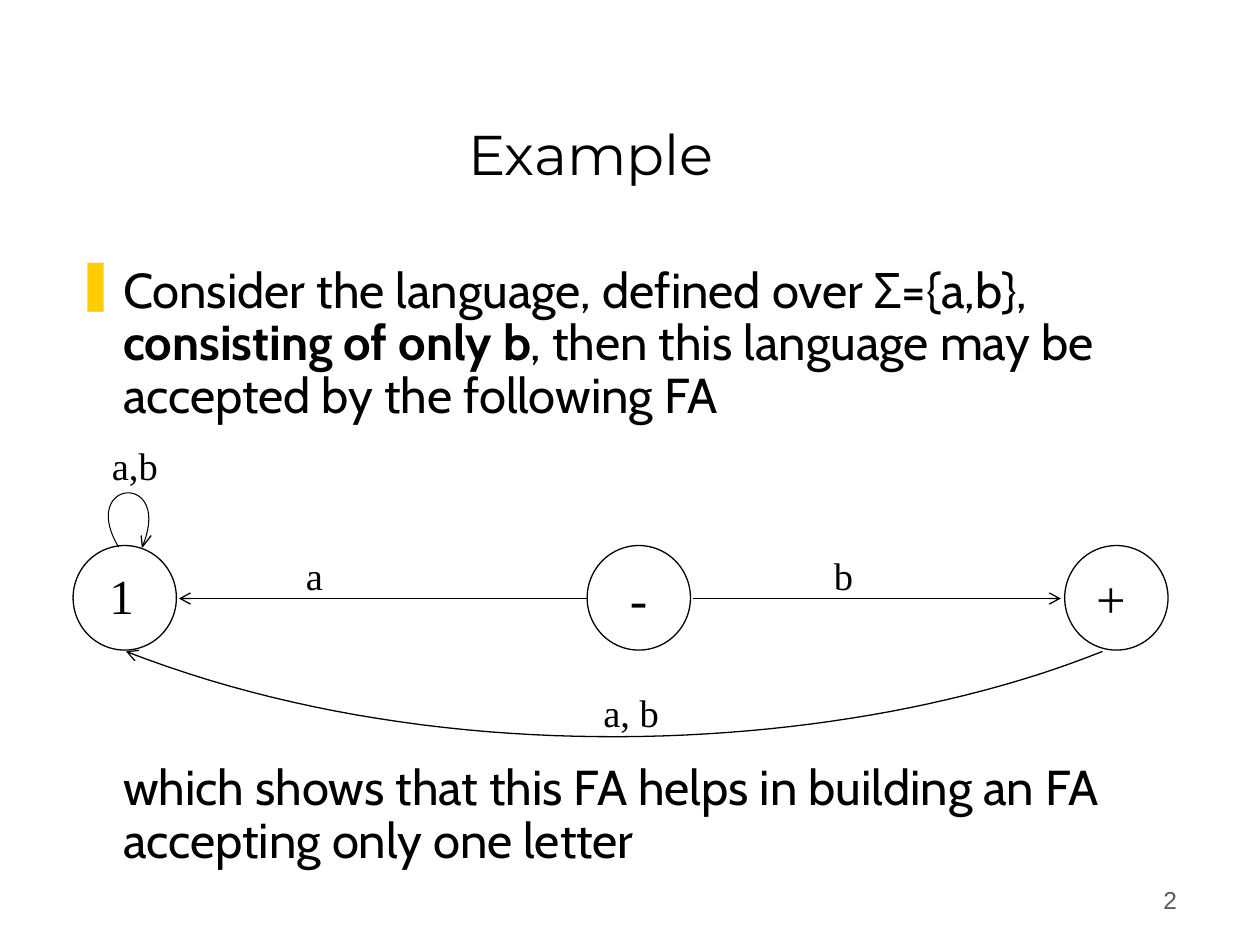
from dataclasses import dataclass

from lxml import etree
from pptx import Presentation
from pptx import util as u
from pptx.dml.color import RGBColor
from pptx.enum import shapes as sh, text as tx
from pptx.oxml import ns

BLACK = RGBColor(0x00, 0x00, 0x00)
WHITE = RGBColor(0xFF, 0xFF, 0xFF)
GREY = RGBColor(0x5E, 0x57, 0x4E)
GOLD = "FFCC00"
SERIF, SANS, HEAD = "Times New Roman", "Cabin", "Montserrat"
WIDE, HIGH = 0.82, 0.83
TOP = 4.33
AXIS = 4.75
Point = tuple[float, float]


@dataclass
class Label:
    text: str
    left: float
    top: float
    size: int = 22


@dataclass
class Curve:
    """A cubic Bezier curve: start, two control points, end."""
    ends: tuple[Point, Point, Point, Point]
    width: float = 0.75
    arrow: bool = False

    def trace(self, steps: int = 48) -> list[Point]:
        def mix(t: float, axis: int) -> float:
            a, b, c, d = (p[axis] for p in self.ends)
            s = 1 - t
            return s**3 * a + 3 * s * s * t * b + 3 * s * t * t * c + t**3 * d
        return [(mix(i / steps, 0), mix(i / steps, 1)) for i in range(steps + 1)]


STATES = [0.58, 4.66, 8.45]
EDGES = [(4.67, 1.42), (5.5, 8.42)]
LABELS = [
    Label("1", 0.77, 4.44, 28),
    Label("-", 4.9, 4.44, 30),
    Label("+", 8.6, 4.44, 30),
    Label("a,b", 0.79, 3.46),
    Label("a", 2.33, TOP),
    Label("b", 6.52, TOP),
    Label("a, b", 4.69, 5.42),
]
LOOP = Curve(((0.94, 4.34), (0.62, 3.8), (1.38, 3.74), (1.13, 4.34)), 0.6)
BARB = [(1.12, 4.25), (1.13, 4.34), (1.2, 4.25)]
RETURN = Curve(((8.75, 5.17), (6.76, 5.97), (3.56, 6.17), (1, 5.17)), arrow=True)


def apply(item, **values) -> None:
    for name, value in values.items():
        setattr(item, name, value)


def style(run, face: str, size: int, color: RGBColor = BLACK, bold: bool = False) -> None:
    apply(run.font, name=face, size=u.Pt(size), bold=bold)
    run.font.color.rgb = color


def ink(line, width: float = 0.75, arrow: bool = False) -> None:
    line.color.rgb = BLACK
    line.width = u.Pt(width)
    if arrow:
        tail = etree.SubElement(line._get_or_add_ln(), ns.qn("a:tailEnd"))
        tail.set("type", "arrow")


def add_box(slide, left: float, top: float, width: float, height: float):
    box = slide.shapes.add_textbox(*map(u.Inches, (left, top, width, height)))
    box.text_frame.word_wrap = True
    return box.text_frame


def add_label(slide, label: Label) -> None:
    frame = add_box(slide, label.left, label.top, 0.98, 0.67)
    run = frame.paragraphs[0].add_run()
    run.text = label.text
    style(run, SERIF, label.size)


def add_state(slide, left: float) -> None:
    oval = slide.shapes.add_shape(
        sh.MSO_SHAPE.OVAL, *map(u.Inches, (left, TOP, WIDE, HIGH)))
    oval.shadow.inherit = False
    oval.fill.solid()
    oval.fill.fore_color.rgb = WHITE
    ink(oval.line)


def add_edge(slide, start: float, end: float) -> None:
    edge = slide.shapes.add_connector(
        sh.MSO_CONNECTOR.STRAIGHT, *map(u.Inches, (start, AXIS, end, AXIS)))
    ink(edge.line, arrow=True)
    etree.SubElement(edge._element.spPr, ns.qn("a:effectLst"))


def add_stroke(slide, points: list[Point], width: float = 0.75, arrow: bool = False) -> None:
    first, *rest = [(u.Inches(x), u.Inches(y)) for x, y in points]
    pen = slide.shapes.build_freeform(*first)
    pen.add_line_segments(rest, close=False)
    stroke = pen.convert_to_shape()
    stroke.shadow.inherit = False
    stroke.fill.background()
    ink(stroke.line, width, arrow)


def add_prose(slide, top: float, height: float, parts: list[tuple[str, bool]],
              bullet: bool = False) -> None:
    """Add an indented paragraph of (text, bold) parts."""
    para = add_box(slide, 0.5, top, 8.94, height).paragraphs[0]
    props = para._p.get_or_add_pPr()
    props.set("marL", str(u.Inches(0.38)))
    props.set("indent", str(u.Inches(-0.38 if bullet else 0)))
    if bullet:
        color = etree.SubElement(props, ns.qn("a:buClr"))
        etree.SubElement(color, ns.qn("a:srgbClr")).set("val", GOLD)
        etree.SubElement(props, ns.qn("a:buChar")).set("char", "❚")
    para.line_spacing = 0.9
    for words, bold in parts:
        run = para.add_run()
        run.text = words
        style(run, SANS, 28, bold=bold)


def add_title(slide, words: str) -> None:
    title = slide.shapes.title
    apply(title, left=u.Inches(0.44), top=u.Inches(0.25),
          width=u.Inches(8.5), height=u.Inches(1.25))
    apply(title.text_frame, text=words, margin_bottom=u.Inches(0.02),
          vertical_anchor=tx.MSO_ANCHOR.BOTTOM)
    para = title.text_frame.paragraphs[0]
    para.alignment = tx.PP_ALIGN.CENTER
    style(para.runs[0], HEAD, 32)


def add_number(slide, number: str) -> None:
    frame = add_box(slide, 7.36, 6.81, 2.08, 0.5)
    frame.vertical_anchor = tx.MSO_ANCHOR.BOTTOM
    para = frame.paragraphs[0]
    para.alignment = tx.PP_ALIGN.RIGHT
    run = para.add_run()
    run.text = number
    style(run, "Arial", 14, GREY)


def main() -> None:
    deck = Presentation()
    apply(deck, slide_width=u.Inches(10), slide_height=u.Inches(7.5))
    slide = deck.slides.add_slide(deck.slide_layouts[5])
    add_number(slide, "2")
    add_title(slide, "Example")
    add_prose(slide, 2.06, 1.4, [
        ("Consider the language, defined over Σ={a,b}, ", False),
        ("consisting of only b", True),
        (", then this language may be accepted by the following FA", False),
    ], bullet=True)
    add_prose(slide, 6.01, 1, [
        ("which shows that this FA helps in building an FA accepting only one letter", False),
    ])
    for left in STATES:
        add_state(slide, left)
    for start, end in EDGES:
        add_edge(slide, start, end)
    for curve in (LOOP, RETURN):
        add_stroke(slide, curve.trace(), curve.width, curve.arrow)
    add_stroke(slide, BARB)
    for label in LABELS:
        add_label(slide, label)
    deck.save("out.pptx")


if __name__ == "__main__":
    main()
